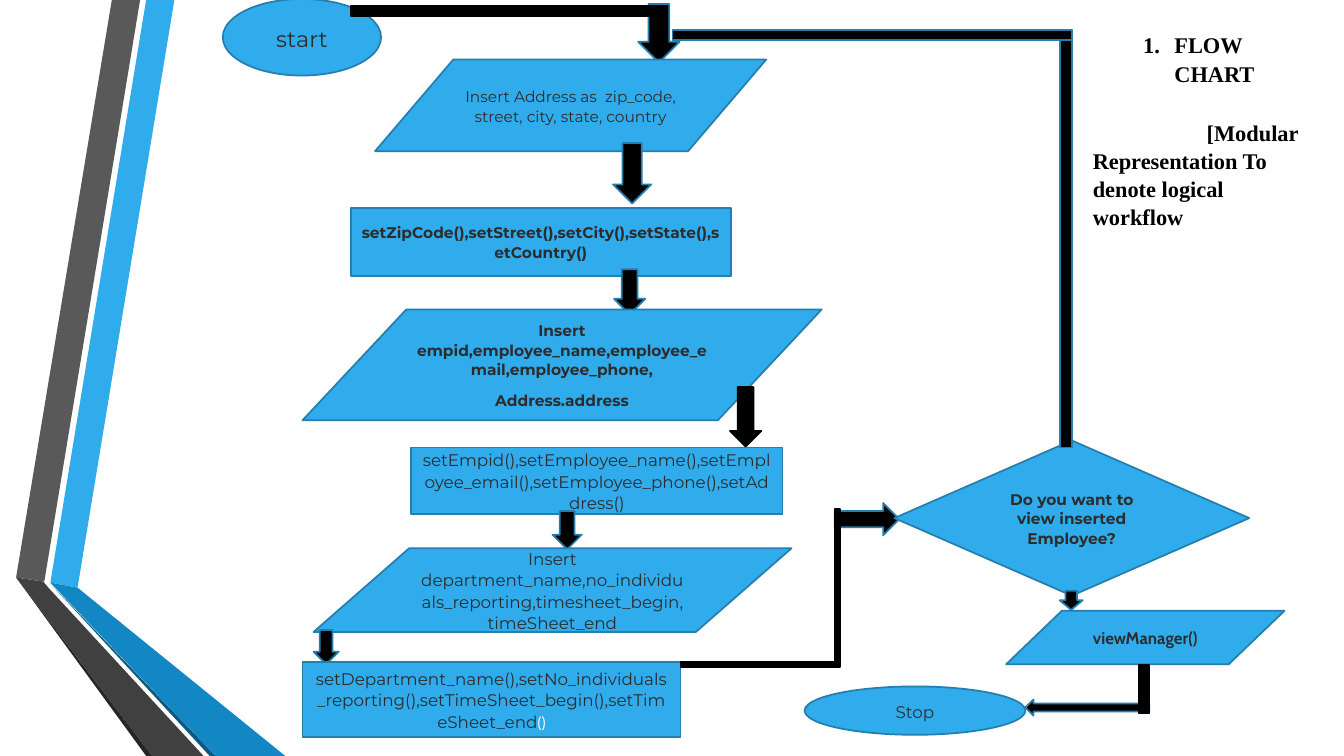
from lxml.etree import SubElement
from pptx import Presentation
from pptx.dml.color import RGBColor
from pptx.enum.shapes import MSO_SHAPE
from pptx.enum.text import MSO_ANCHOR, PP_ALIGN
from pptx.oxml.ns import qn
from pptx.util import Inches, Pt

COLORS = {
    "blue": "30ACEC", "outline": "247FAF", "ink": "2C2C2C", "black": "000000",
    "white": "FFFFFF", "grey": "595959", "charcoal": "404040", "shade": "262626",
    "navy": "0C5A82", "deep": "1287C3",
}


class FlowSlide:
    body_font = "Montserrat"
    accent_font = "Cabin"
    heading_font = "Times New Roman"
    line_width = Pt(1.25)
    line_spacing = 1.07

    def __init__(self, deck):
        self.slide = deck.slides.add_slide(deck.slide_layouts[6])

    def color(self, name):
        return RGBColor.from_string(COLORS[name])

    def style_font(self, font, name, size, color, bold=False):
        font.name, font.size, font.bold = name, Pt(size), bold
        font.color.rgb = self.color(color)

    def paint(self, shape, fill, line=None):
        shape.shadow.inherit = False
        shape.fill.solid()
        shape.fill.fore_color.rgb = self.color(fill)
        if line:
            shape.line.color.rgb = self.color(line)
            shape.line.width = self.line_width
        else:
            shape.line.fill.background()

    def ribbon(self, fill, points):
        corners = [(Inches(x), Inches(y)) for x, y in points]
        builder = self.slide.shapes.build_freeform(*corners[0], scale=1.0)
        builder.add_line_segments(corners[1:], close=True)
        self.paint(builder.convert_to_shape(), fill)

    def block(self, kind, box, fill="black", line="outline"):
        shape = self.slide.shapes.add_shape(kind, *(Inches(v) for v in box))
        self.paint(shape, fill, line)
        return shape

    def step(self, kind, box, lines, size, bold=False, font=None, suffix=None):
        frame = self.block(kind, box, "blue").text_frame
        frame.word_wrap = True
        frame.vertical_anchor = MSO_ANCHOR.MIDDLE
        for index, line in enumerate(lines):
            paragraph = frame.add_paragraph() if index else frame.paragraphs[0]
            paragraph.alignment = PP_ALIGN.CENTER
            paragraph.line_spacing = self.line_spacing
            paragraph.space_after = Pt(8)
            run = paragraph.add_run()
            run.text = line
            target = run.font if suffix else paragraph.font
            self.style_font(target, font or self.body_font, size, "ink", bold)
        if suffix:
            run = paragraph.add_run()
            run.text = suffix
            self.style_font(run.font, self.accent_font, 11, "white")

    def heading(self, box, title, subtitle):
        frame = self.slide.shapes.add_textbox(*(Inches(v) for v in box)).text_frame
        frame.word_wrap = True
        first, second = frame.paragraphs[0], frame.add_paragraph()
        first.text, second.text = title, "\t" + subtitle
        numbered = first._p.get_or_add_pPr()
        numbered.set("marL", str(Inches(0.81)))
        numbered.set("indent", str(Inches(-0.31)))
        SubElement(numbered, qn("a:buFont"), typeface="+mj-lt")
        SubElement(numbered, qn("a:buAutoNum"), type="arabicPeriod")
        tabs = SubElement(second._p.get_or_add_pPr(), qn("a:tabLst"))
        for stop in (1.13, 2.62):
            SubElement(tabs, qn("a:tab"), pos=str(Inches(stop)), algn="l")
        first.line_spacing = self.line_spacing
        second.line_spacing = 1.05
        second.space_before = Pt(22)
        for paragraph in (first, second):
            self.style_font(paragraph.font, self.heading_font, 16, "black", True)


def main():
    deck = Presentation()
    deck.slide_width, deck.slide_height = Inches(13.33), Inches(7.5)
    flow = FlowSlide(deck)

    ribbons = [
        ("blue", [(0.5, 5.78), (0.77, 5.83), (1.73, 0), (1.45, 0)]),
        ("grey", [(1.39, 0), (1.11, 0), (0.16, 5.73), (0.44, 5.77)]),
        ("shade", [(0.16, 5.73), (1.45, 7.5), (1.51, 7.5)]),
        ("navy", [(0.5, 5.79), (2.08, 7.5), (2.14, 7.5)]),
        ("deep", [(0.5, 5.78), (2.14, 7.5), (2.83, 7.5), (0.77, 5.83)]),
        ("charcoal", [(2.02, 7.5), (0.48, 5.83), (0.43, 5.77), (0.16, 5.73), (1.51, 7.5)]),
    ]
    for fill, points in ribbons:
        flow.ribbon(fill, points)

    data, process = MSO_SHAPE.FLOWCHART_DATA, MSO_SHAPE.FLOWCHART_PROCESS
    down = MSO_SHAPE.DOWN_ARROW

    flow.step(MSO_SHAPE.FLOWCHART_CONNECTOR, (2.21, -0.01, 1.57, 0.76), ["start"], 16)
    flow.block(down, (6.33, 0.04, 0.41, 0.58))
    flow.step(data, (3.72, 0.59, 3.88, 0.91),
              ["Insert Address as  zip_code, street, city, state, country"], 11)
    flow.block(down, (6.08, 1.42, 0.38, 0.6))
    flow.step(process, (3.48, 2.06, 3.77, 0.68),
              ["setZipCode(),setStreet(),setCity(),setState(),setCountry()"], 11, bold=True)
    flow.block(down, (6.09, 2.67, 0.31, 0.45))
    flow.step(data, (3, 3.07, 5.15, 1.1),
              ["Insert empid,employee_name,employee_email,employee_phone,", "Address.address"],
              11, bold=True)
    flow.block(down, (7.24, 3.84, 0.31, 0.59), line="black")
    flow.step(process, (4.08, 4.44, 3.68, 0.66),
              ["setEmpid(),setEmployee_name(),setEmployee_email(),"
               "setEmployee_phone(),setAddress()"], 12)
    flow.block(down, (5.48, 5.07, 0.29, 0.38))
    flow.step(data, (3.11, 5.44, 4.74, 0.83),
              ["Insert department_name,no_individuals_reporting,"
               "timesheet_begin,timeSheet_end"], 12)
    flow.block(down, (3.11, 6.25, 0.25, 0.34))
    flow.step(MSO_SHAPE.RECTANGLE, (3, 6.57, 3.75, 0.74),
              ["setDepartment_name(),setNo_individuals_reporting(),"
               "setTimeSheet_begin(),setTimeSheet_end"], 12, suffix="()")
    flow.block(MSO_SHAPE.RIGHT_ARROW, (8.28, 4.99, 0.64, 0.32))
    flow.step(MSO_SHAPE.FLOWCHART_DECISION, (8.87, 4.37, 3.52, 1.54),
              ["Do you want to view inserted Employee?"], 11, bold=True)
    for loop_back in ((10.51, 0.3, 0.12, 4.14), (6.67, 0.3, 3.96, 0.1)):
        flow.block(process, loop_back)
    flow.block(down, (10.51, 5.86, 0.23, 0.19))
    flow.step(data, (9.98, 6.06, 2.76, 0.53), ["viewManager()"], 12,
              bold=True, font=flow.accent_font)
    flow.block(MSO_SHAPE.LEFT_ARROW, (10.17, 6.94, 1.23, 0.16))
    flow.step(MSO_SHAPE.OVAL, (7.98, 6.81, 2.19, 0.48), ["Stop"], 12)

    for bar in ((3.48, 0.06, 3.11, 0.1), (6.75, 6.57, 1.58, 0.05),
                (8.28, 5.05, 0.05, 1.54), (11.3, 6.6, 0.1, 0.48)):
        flow.block(MSO_SHAPE.RECTANGLE, bar, line="black")

    flow.heading((10.74, 0.24, 2.38, 2.04), "FLOW CHART",
                 "[Modular Representation To denote logical workflow")
    deck.save("out.pptx")


if __name__ == "__main__":
    main()
